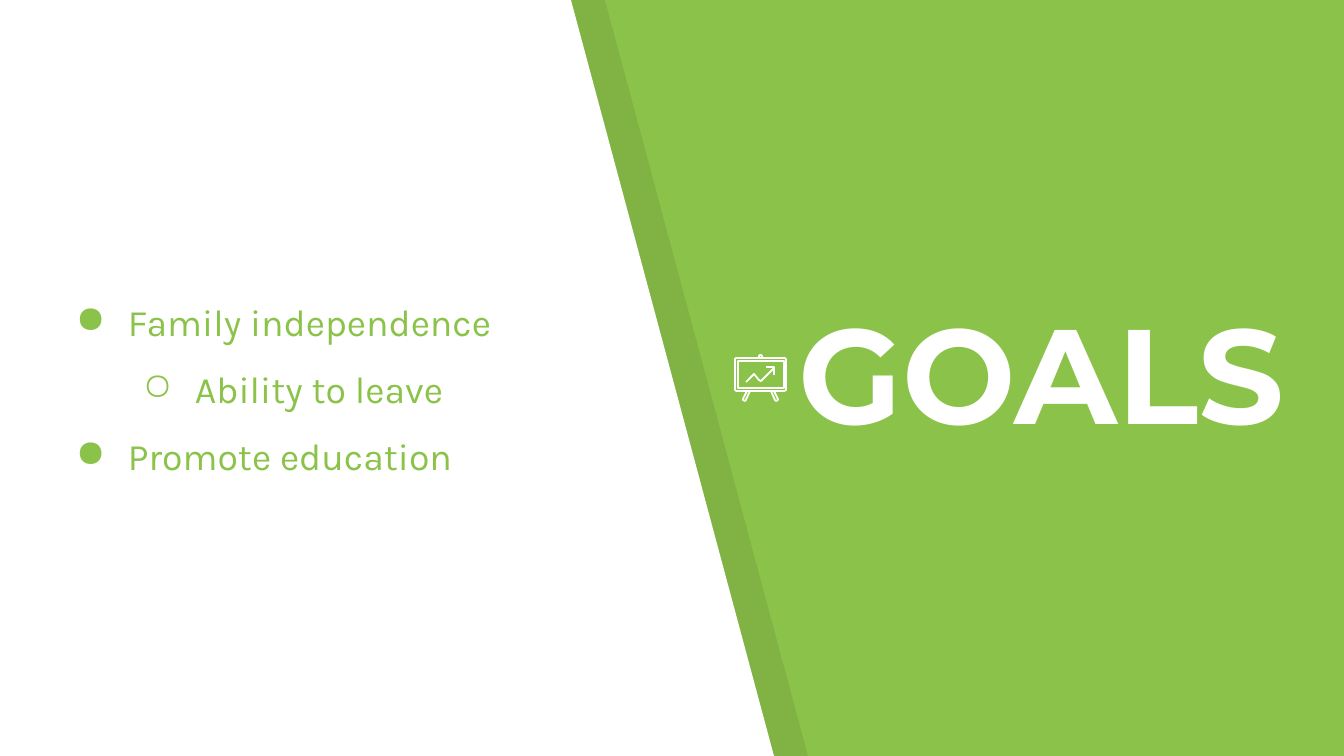
from dataclasses import dataclass

from lxml.etree import SubElement
from pptx import Presentation
from pptx.dml.color import RGBColor
from pptx.enum.shapes import MSO_SHAPE
from pptx.enum.text import MSO_ANCHOR, MSO_AUTO_SIZE, PP_ALIGN
from pptx.oxml.ns import qn
from pptx.util import Pt

PX = 914400 / 134.4
WIDTH, HEIGHT = 1344, 756


@dataclass(frozen=True)
class Theme:
    green: str = "8BC34A"
    dark_green: str = "80B344"
    white: str = "FFFFFF"
    title_font: str = "Montserrat"
    body_font: str = "Karla"
    title_size: int = 72
    body_size: int = 20
    icon_line: float = 0.96


THEME = Theme()

TITLE = "GOALS"
TITLE_BOX = (786, 292, 519, 173)
GOALS = [(0, "Family independence"), (1, "Ability to leave"), (0, "Promote education")]
GOALS_BOX = (48, 157, 495, 441)
BULLETS = "●○"
INSET, INDENT, HANGING = 13, 67, 52

PANEL_TOP, PANEL_BOTTOM = 571, 774
BANDS = [(34, THEME.dark_green), (0, THEME.white)]

BOARD_FRAME = (735, 358, 51, 33)
BOARD_SCREEN = (738, 361, 46, 27)
BOARD_MIDDLE = 760.5
LEFT_LEG = [(747, 391), (743, 399), (743, 400), (745, 401), (746, 400), (750, 391)]
RIGHT_LEG = [(2 * BOARD_MIDDLE - x, y) for x, y in LEFT_LEG]
KNOB = [(759, 358), (759, 356), (760, 355), (761, 355), (762, 356), (762, 358)]
TREND = [(774, 368), (762, 380), (761, 381), (759, 380), (754, 374), (746, 382)]
ARROW_TIP = [(766, 367), (774, 367), (774, 375)]


def emu(lengths):
    return [round(length * PX) for length in lengths]


def color(code):
    return RGBColor.from_string(code)


def add_outline(page, points, closed=False):
    builder = page.shapes.build_freeform(*points[0], scale=PX)
    builder.add_line_segments(points[1:], close=closed)
    shape = builder.convert_to_shape()
    shape.shadow.inherit = False
    return shape


def add_band(page, offset, fill):
    corners = [(0, 0), (0, HEIGHT), (PANEL_BOTTOM + offset, HEIGHT), (PANEL_TOP + offset, 0)]
    band = add_outline(page, corners, closed=True)
    band.fill.solid()
    band.fill.fore_color.rgb = color(fill)
    band.line.fill.background()


def draw_white_line(shape):
    shape.shadow.inherit = False
    shape.fill.background()
    shape.line.color.rgb = color(THEME.white)
    shape.line.width = Pt(THEME.icon_line)


def add_board_icon(page):
    frame = page.shapes.add_shape(MSO_SHAPE.ROUNDED_RECTANGLE, *emu(BOARD_FRAME))
    frame.adjustments[0] = 0.05
    screen = page.shapes.add_shape(MSO_SHAPE.RECTANGLE, *emu(BOARD_SCREEN))
    strokes = [add_outline(page, points)
               for points in (KNOB, LEFT_LEG, RIGHT_LEG, TREND, ARROW_TIP)]
    for shape in (frame, screen, *strokes):
        draw_white_line(shape)


def set_frame(box, place, anchor):
    box.left, box.top, box.width, box.height = emu(place)
    frame = box.text_frame
    frame.word_wrap = True
    frame.auto_size = MSO_AUTO_SIZE.NONE
    frame.vertical_anchor = anchor
    inset = round(INSET * PX)
    frame.margin_left = frame.margin_right = inset
    frame.margin_top = frame.margin_bottom = inset
    return frame


def set_font(para, name, size, code, bold=False):
    para.alignment = PP_ALIGN.LEFT
    font = para.font
    font.name, font.size, font.bold = name, Pt(size), bold
    font.color.rgb = color(code)


def set_bullet(para, level):
    para.level = level
    properties = para._p.get_or_add_pPr()
    properties.set("marL", str(round(INDENT * (level + 1) * PX)))
    properties.set("indent", str(round(-HANGING * PX)))
    bullet_color = SubElement(properties, qn("a:buClr"))
    SubElement(bullet_color, qn("a:srgbClr"), val=THEME.green)
    SubElement(properties, qn("a:buChar"), char=BULLETS[level])


def add_title(page):
    frame = set_frame(page.shapes.title, TITLE_BOX, MSO_ANCHOR.BOTTOM)
    frame.text = TITLE
    set_font(frame.paragraphs[0], THEME.title_font, THEME.title_size, THEME.white, bold=True)


def add_goals(page):
    box = page.shapes.add_textbox(*emu(GOALS_BOX))
    frame = set_frame(box, GOALS_BOX, MSO_ANCHOR.MIDDLE)
    frame.text = "\n".join(text for _, text in GOALS)
    for para, (level, _) in zip(frame.paragraphs, GOALS):
        para.line_spacing = 1.5
        set_bullet(para, level)
        set_font(para, THEME.body_font, THEME.body_size, THEME.green)


def main():
    deck = Presentation()
    deck.slide_width, deck.slide_height = emu((WIDTH, HEIGHT))
    page = deck.slides.add_slide(deck.slide_layouts.get_by_name("Title Only"))
    page.background.fill.solid()
    page.background.fill.fore_color.rgb = color(THEME.green)
    for offset, fill in BANDS:
        add_band(page, offset, fill)
    add_title(page)
    add_board_icon(page)
    add_goals(page)
    deck.save("out.pptx")


if __name__ == "__main__":
    main()
